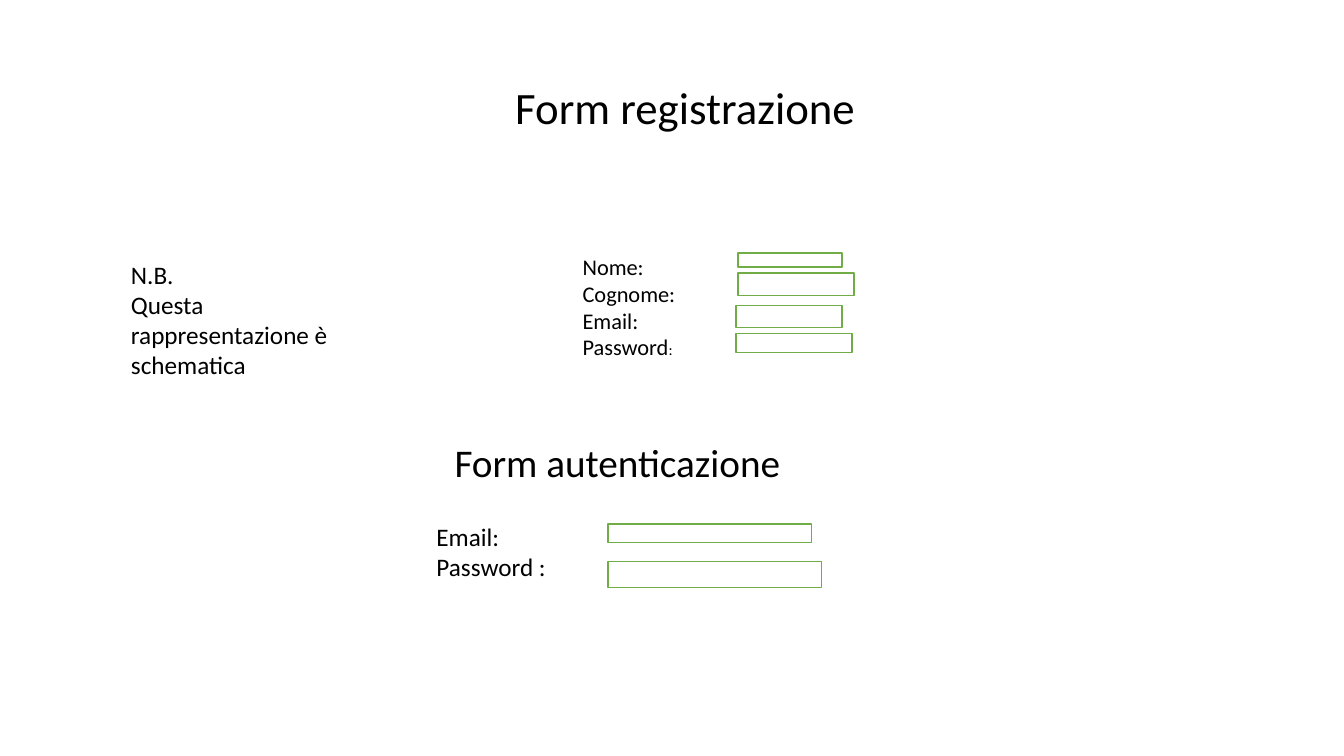
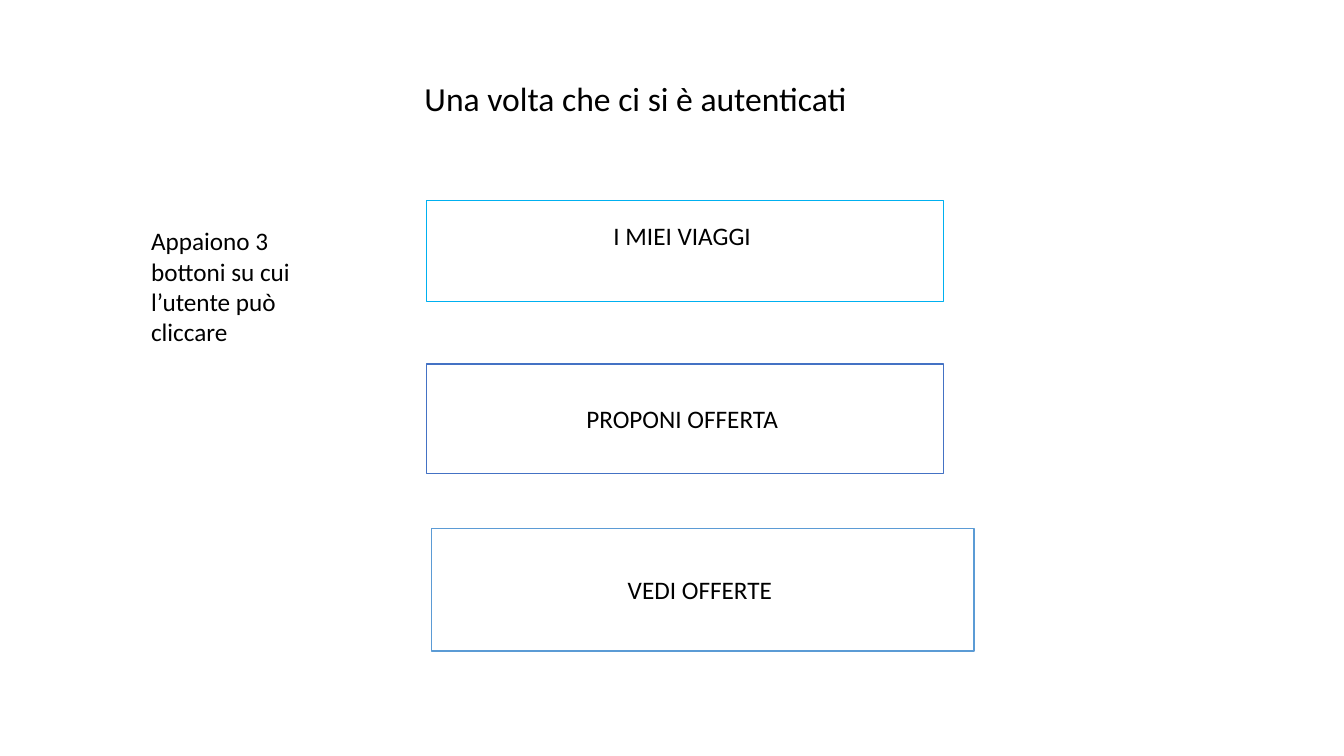
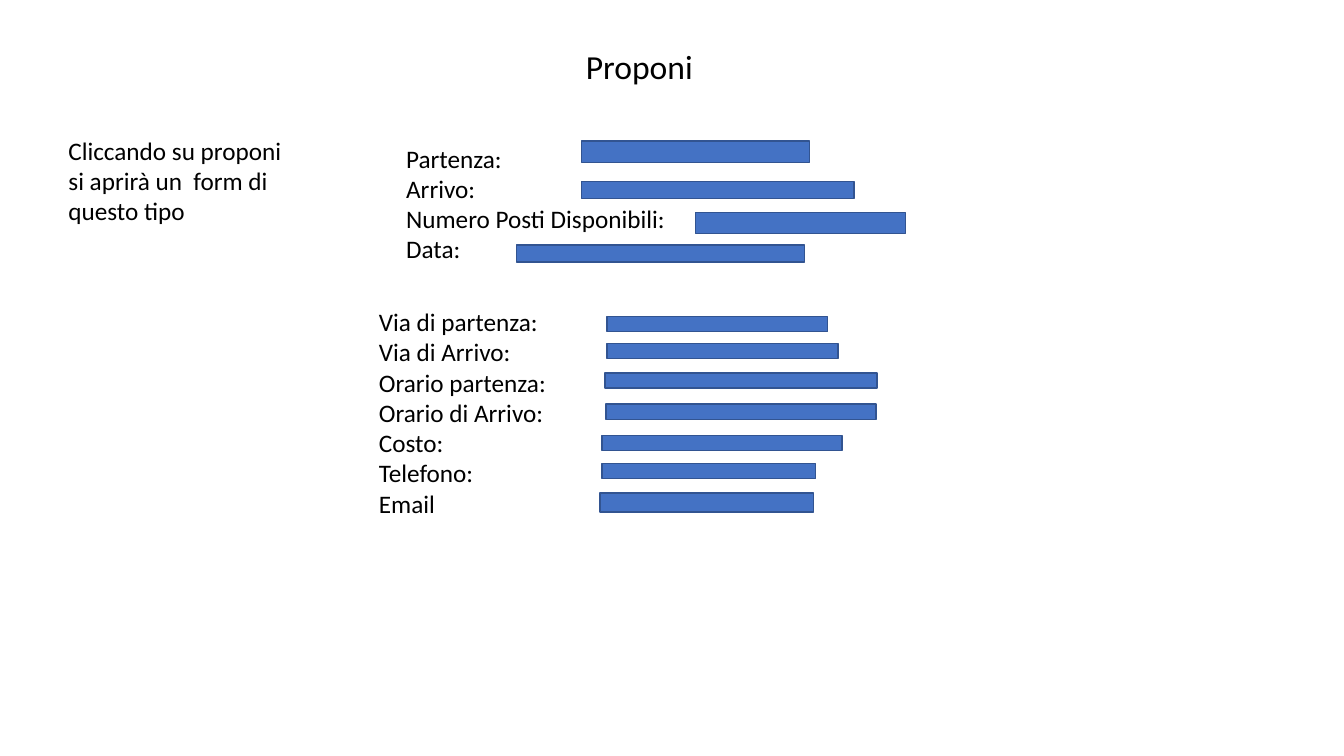
from pptx import Presentation
from pptx.dml.color import RGBColor
from pptx.enum.shapes import MSO_SHAPE
from pptx.enum.text import MSO_ANCHOR, MSO_AUTO_SIZE, PP_ALIGN
from pptx.util import Inches, Pt

RECT = MSO_SHAPE.RECTANGLE
TOP, MIDDLE = MSO_ANCHOR.TOP, MSO_ANCHOR.MIDDLE
LEFT, CENTER = PP_ALIGN.LEFT, PP_ALIGN.CENTER
NO_FIT = MSO_AUTO_SIZE.NONE
TITLE_ONLY = 5

FONT = "Calibri"
COLORS = {
    "text": "000000",
    "white": "FFFFFF",
    "green": "70AD47",
    "cyan": "00B0F0",
    "blue": "4472C4",
    "light_blue": "5B9BD5",
    "dark_blue": "325491",
}
OUTLINED = ("white", "green")
FILLED = ("blue", "dark_blue")


def color(name):
    return RGBColor.from_string(COLORS[name])


def write(tf, lines, size, align=LEFT, anchor=TOP):
    """Fill a text frame with one paragraph per line."""
    tf.word_wrap = True
    tf.auto_size = NO_FIT
    tf.vertical_anchor = anchor
    for i, line in enumerate(lines):
        p = tf.paragraphs[0] if i == 0 else tf.add_paragraph()
        p.alignment = align
        p.line_spacing = 1.0
        p.font.name = FONT
        p.font.size = Pt(size)
        p.font.color.rgb = color("text")
        p.add_run().text = line


def add_text(s, box, lines, size=18):
    sp = s.shapes.add_textbox(*map(Inches, box))
    write(sp.text_frame, lines, size)
    return sp


def add_rect(s, box, fill, line):
    sp = s.shapes.add_shape(RECT, *map(Inches, box))
    sp.shadow.inherit = False
    sp.fill.solid()
    sp.fill.fore_color.rgb = color(fill)
    sp.line.color.rgb = color(line)
    sp.line.width = Pt(1)
    return sp


def add_titled_slide(prs, box, title, size=24):
    s = prs.slides.add_slide(prs.slide_layouts[TITLE_ONLY])
    sp = s.shapes.title
    sp.left, sp.top, sp.width, sp.height = map(Inches, box)
    write(sp.text_frame, [title], size)
    return s


def add_form(s, box, rows, style, size=18):
    """Rows hold a label and its field: offset from the box, width, height."""
    left, top = box[:2]
    labels = add_text(s, box, [row[0] for row in rows], size)
    for _, dx, dy, w, h in rows:
        add_rect(s, (left + dx, top + dy, w, h), *style)
    return labels


def add_button(s, box, label, line, lift=0):
    sp = add_rect(s, box, "white", line)
    tf = sp.text_frame
    write(tf, [label], 18, CENTER, MIDDLE)
    tf.margin_bottom = Inches(0.05 + 2 * lift)


def build_access(prs):
    s = add_titled_slide(prs, (5.01, 0.74, 5.71, 0.64),
                         "Form registrazione", 32)
    # Registration form, with a smaller colon on its last label
    labels = add_form(s, (5.68, 2.46, 1.15, 1.18), [
        ("Nome:", 1.64, 0.05, 1.03, 0.14),
        ("Cognome:", 1.64, 0.25, 1.15, 0.22),
        ("Email:", 1.62, 0.57, 1.05, 0.22),
        ("Password", 1.62, 0.85, 1.15, 0.19),
    ], OUTLINED, 16)
    r = labels.text_frame.paragraphs[-1].add_run()
    r.text = ":"
    r.font.size = Pt(11)
    # Side note
    add_text(s, (1.2, 2.52, 2.25, 1.31),
             ["N.B.", "Questa rappresentazione è schematica"])
    # Login form
    add_text(s, (4.41, 4.3, 3.87, 0.57), ["Form autenticazione"], 28)
    add_form(s, (4.23, 5.12, 1.45, 0.71), [
        ("Email:", 1.8, 0.08, 2.02, 0.18),
        ("Password :", 1.8, 0.45, 2.12, 0.26),
    ], OUTLINED)


def build_menu(prs):
    s = add_titled_slide(prs, (4.11, 0.72, 6.31, 0.5),
                         "Una volta che ci si è autenticati")
    # Buttons
    add_button(s, (4.23, 1.99, 5.13, 1), "I MIEI VIAGGI ", "cyan", 0.15)
    add_button(s, (4.23, 3.61, 5.13, 1.09), "PROPONI OFFERTA ", "blue")
    add_button(s, (4.28, 5.24, 5.38, 1.22), "VEDI OFFERTE ", "light_blue")
    # Side note
    add_text(s, (1.4, 2.19, 2.05, 1.31),
             ["Appaiono 3 bottoni su cui l’utente può cliccare"])


def build_offer(prs):
    s = add_titled_slide(prs, (5.71, 0.41, 4.2, 0.5), "Proponi")
    # Trip fields
    add_form(s, (3.93, 1.37, 5.79, 1.62), [
        ("Partenza:", 1.84, 0.03, 2.26, 0.21),
        ("Arrivo:", 1.84, 0.43, 2.7, 0.17),
        ("Numero Posti Disponibili:", 2.97, 0.74, 2.08, 0.21),
        ("Data:", 1.19, 1.06, 2.86, 0.17),
    ], FILLED)
    # Detail fields
    add_form(s, (3.66, 2.99, 3.33, 2.22), [
        ("Via di partenza:", 2.36, 0.15, 2.19, 0.15),
        ("Via di Arrivo:", 2.36, 0.42, 2.29, 0.15),
        ("Orario partenza:", 2.34, 0.71, 2.7, 0.15),
        ("Orario di Arrivo:", 2.35, 1.02, 2.68, 0.15),
        ("Costo:", 2.31, 1.33, 2.38, 0.15),
        ("Telefono:", 2.31, 1.61, 2.12, 0.15),
        ("Email", 2.29, 1.9, 2.12, 0.19),
    ], FILLED)
    # Side note
    add_text(s, (0.58, 1.29, 2.48, 1.01),
             ["Cliccando su proponi si aprirà un  form di questo tipo"])


def main():
    prs = Presentation()
    prs.slide_width = Inches(13.33)
    prs.slide_height = Inches(7.5)
    build_access(prs)
    build_menu(prs)
    build_offer(prs)
    prs.save("out.pptx")


if __name__ == "__main__":
    main()
